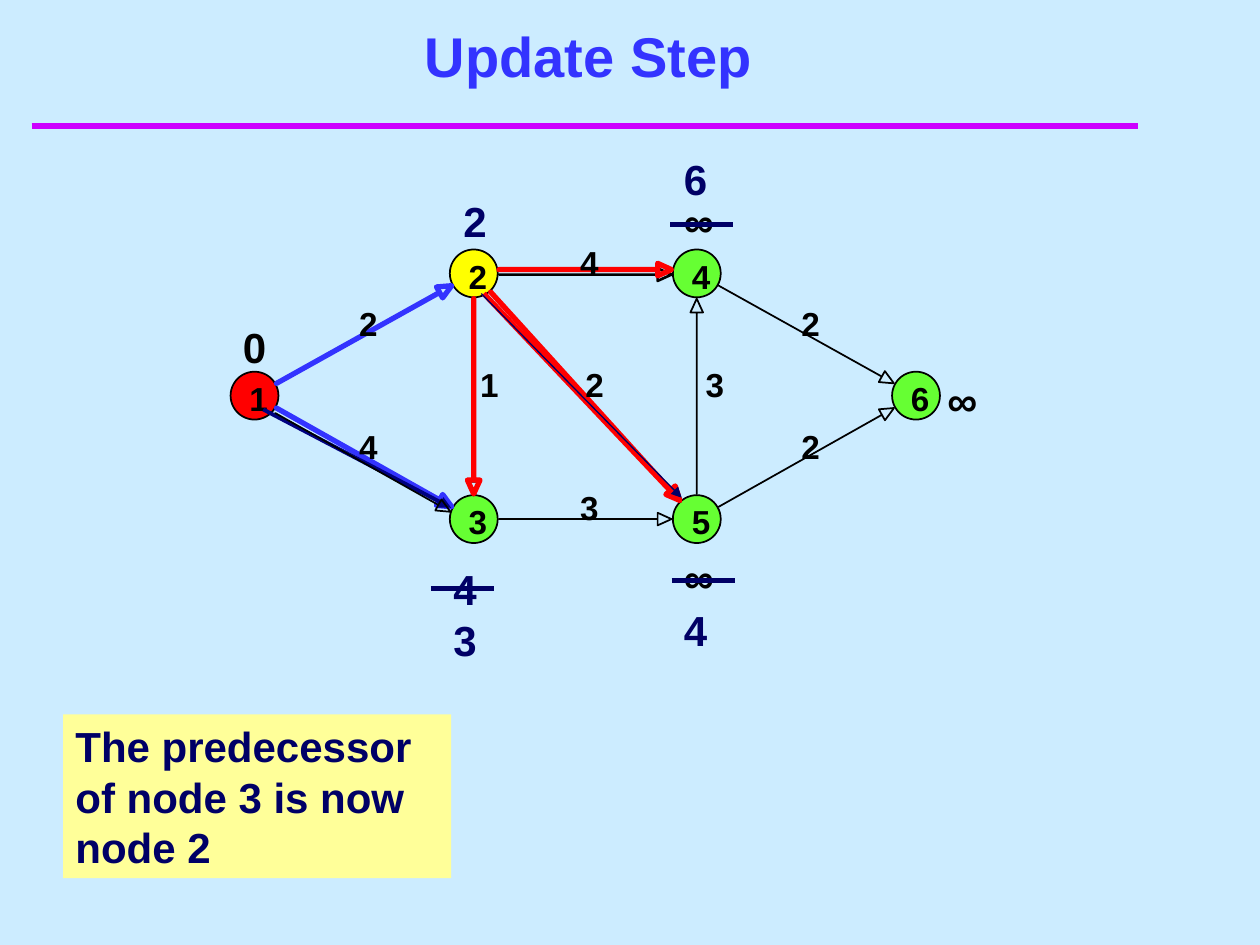
import math
from dataclasses import dataclass

from lxml import etree
from pptx import Presentation
from pptx.dml.color import RGBColor
from pptx.enum import shapes, text
from pptx.oxml.ns import qn
from pptx.util import Inches, Pt


@dataclass(frozen=True)
class Theme:
    font: str = "Arial"
    background: str = "CCECFF"
    rule: str = "CC00FF"
    blue: str = "3333FF"
    navy: str = "000066"
    dark_blue: str = "000080"
    black: str = "000000"
    red: str = "FF0000"
    yellow: str = "FFFF00"
    green: str = "66FF33"
    note: str = "FFFF99"
    title_size: int = 32
    body_size: int = 24
    label_size: int = 19


THEME = Theme()
NODE_SIZE = 0.38
EDGE_GAP = 0.2  # distance from node centre to edge end
HEAD_LENGTH, HEAD_HALF = 0.11, 0.05

# Node: centre x, centre y, fill, relative to the graph's corner
NODES = {
    1: (0.19, 1.16, THEME.red),
    2: (1.93, 0.19, THEME.yellow),
    3: (1.93, 2.14, THEME.green),
    4: (3.7, 0.19, THEME.green),
    5: (3.7, 2.14, THEME.green),
    6: (5.44, 1.16, THEME.green),
}
# Edge: from, to, colour, width, cost, cost's shift right, edge's shift up
EDGES = [
    (1, 2, THEME.blue, 3, "2", -0.04, 0),
    (2, 4, THEME.red, 3, "4", -0.04, 0.03),
    (2, 5, THEME.red, 3, "2", 0, 0),
    (2, 3, THEME.red, 3, "1", 0.05, 0),
    (3, 5, THEME.black, 1, "3", -0.04, 0),
    (1, 3, THEME.blue, 3, "4", -0.04, 0),
    (4, 6, THEME.black, 1, "2", -0.04, 0),
    (5, 4, THEME.black, 1, "3", 0.07, 0),
    (5, 6, THEME.black, 1, "2", -0.04, 0),
]
# Distance label: text, left, top, colour
DISTANCES = [
    ("2", 1.75, -0.48, THEME.navy),
    ("4", 1.67, 2.44, THEME.navy),
    ("6", 3.5, -0.81, THEME.navy),
    ("4", 3.5, 2.77, THEME.navy),
    ("3", 1.67, 2.85, THEME.navy),
    ("0", 0, 0.52, THEME.black),
    ("∞", 3.5, -0.48, THEME.black),
    ("∞", 3.5, 2.35, THEME.black),
    ("∞", 5.59, 0.94, THEME.black),
]
STRIKES = [(1.59, 2.69), (3.49, -0.2), (3.5, 2.63)]
# Straight arrow: x1, y1, x2, y2, colour, width
UPDATE_ARROWS = [
    (2.01, 0.35, 3.58, 2.01, THEME.red, 3),
    (1.99, 0.35, 3.58, 1.97, THEME.navy, 0.75),
    (0.26, 1.27, 1.75, 2.05, THEME.dark_blue, 2.25),
]


def rgb(color):
    return RGBColor.from_string(color)


def write(shape, content, size, color, inset=True, wrap=True):
    frame = shape.text_frame
    frame.word_wrap = wrap
    frame.margin_left = frame.margin_right = Inches(0.1 if inset else 0)
    frame.margin_top = frame.margin_bottom = Inches(0.05 if inset else 0)
    paragraph = frame.paragraphs[0]
    paragraph.text = content
    paragraph.alignment = text.PP_ALIGN.LEFT
    font = paragraph.font
    font.name, font.size, font.bold = THEME.font, Pt(size), True
    font.color.rgb = rgb(color)
    return frame


def add_text(slide, left, top, width, height, *args, **options):
    box = slide.shapes.add_textbox(*map(Inches, (left, top, width, height)))
    return write(box, *args, **options)


def add_line(slide, x1, y1, x2, y2, color, width, arrow=False):
    line = slide.shapes.add_connector(
        shapes.MSO_CONNECTOR.STRAIGHT, *map(Inches, (x1, y1, x2, y2)))
    line.line.color.rgb, line.line.width = rgb(color), Pt(width)
    if arrow:
        etree.SubElement(line.line._get_or_add_ln(), qn("a:tailEnd"), type="triangle")
    etree.SubElement(line._element.spPr, qn("a:effectLst"))


def add_header(slide, left, top, width):
    add_line(slide, left, top + 0.83, left + 8.78, top + 0.83, THEME.rule, 4)
    frame = add_text(slide, left + 0.17, top, width, 0.58,
                     "Update Step", THEME.title_size, THEME.blue)
    frame.vertical_anchor = text.MSO_ANCHOR.BOTTOM
    frame.paragraphs[0].alignment = text.PP_ALIGN.CENTER


def add_edge(slide, left, top, start, end, color, width, dx=0, dy=0):
    """Outline arrow between the rims of two nodes."""
    (x1, y1, _), (x2, y2, _) = NODES[start], NODES[end]
    length = math.hypot(x2 - x1, y2 - y1)
    ux, uy = (x2 - x1) / length, (y2 - y1) / length

    def point(along, across=0):
        return (Inches(left + x1 + dx + ux * along - uy * across),
                Inches(top + y1 + dy + uy * along + ux * across))

    tip = length - EDGE_GAP
    neck = tip - HEAD_LENGTH
    builder = slide.shapes.build_freeform(*point(EDGE_GAP))
    builder.add_line_segments(
        [point(neck), point(neck, HEAD_HALF), point(tip),
         point(neck, -HEAD_HALF), point(neck)], close=True)
    edge = builder.convert_to_shape()
    edge.shadow.inherit = False
    edge.fill.background()
    edge.line.color.rgb, edge.line.width = rgb(color), Pt(width)


def add_node(slide, left, top, number):
    x, y, color = NODES[number]
    x, y = left + x - NODE_SIZE / 2, top + y - NODE_SIZE / 2
    node = slide.shapes.add_shape(
        shapes.MSO_SHAPE.OVAL, *map(Inches, (x, y, NODE_SIZE, NODE_SIZE)))
    node.shadow.inherit = False
    node.fill.solid()
    node.fill.fore_color.rgb = rgb(color)
    node.line.color.rgb, node.line.width = rgb(THEME.black), Pt(1)
    add_text(slide, x + 0.15, y + 0.05, 0.15, 0.32, str(number),
             THEME.label_size, THEME.black, inset=False, wrap=False)


def add_graph(slide, left, top):
    # Edges behind the nodes
    for end in (4, 3):
        add_edge(slide, left, top, 2, end, THEME.black, 1.5, dy=0.01)
    for number in NODES:
        add_node(slide, left, top, number)
    # Edges with their costs
    for start, end, color, width, cost, shift, lift in EDGES:
        add_edge(slide, left, top, start, end, color, width, dy=-lift)
        (x1, y1, _), (x2, y2, _) = NODES[start], NODES[end]
        add_text(slide, left + (x1 + x2) / 2 + shift, top + (y1 + y2) / 2 - 0.25,
                 0.15, 0.32, cost, THEME.label_size, THEME.black,
                 inset=False, wrap=False)
    # Distance labels, the old ones struck through
    for distance, x, y, color in DISTANCES:
        add_text(slide, left + x, top + y, 0.45, 0.5, distance,
                 THEME.body_size, color)
    for x, y in STRIKES:
        add_line(slide, left + x, top + y, left + x + 0.5, top + y, THEME.navy, 3)
    # Arrows of the update
    for x1, y1, x2, y2, color, width in UPDATE_ARROWS:
        add_line(slide, left + x1, top + y1, left + x2, top + y2,
                 color, width, arrow=True)
    add_edge(slide, left, top, 1, 3, THEME.black, 1, dx=-0.01, dy=0.04)


def add_note(slide, left, top, width, height):
    note = slide.shapes.add_shape(
        shapes.MSO_SHAPE.RECTANGLE, *map(Inches, (left, top, width, height)))
    note.shadow.inherit = False
    note.fill.solid()
    note.fill.fore_color.rgb = rgb(THEME.note)
    note.line.fill.background()
    write(note, "The predecessor of node 3 is now node 2", THEME.body_size, THEME.navy)


def main():
    deck = Presentation()
    deck.slide_width, deck.slide_height = Inches(10), Inches(7.5)
    slide = deck.slides.add_slide(deck.slide_layouts[6])
    slide.background.fill.solid()
    slide.background.fill.fore_color.rgb = rgb(THEME.background)
    add_header(slide, 0.25, 0.17, 8.5)
    add_graph(slide, 1.83, 1.98)
    add_note(slide, 0.5, 5.67, 3.08, 1.3)
    deck.save("out.pptx")


if __name__ == "__main__":
    main()
